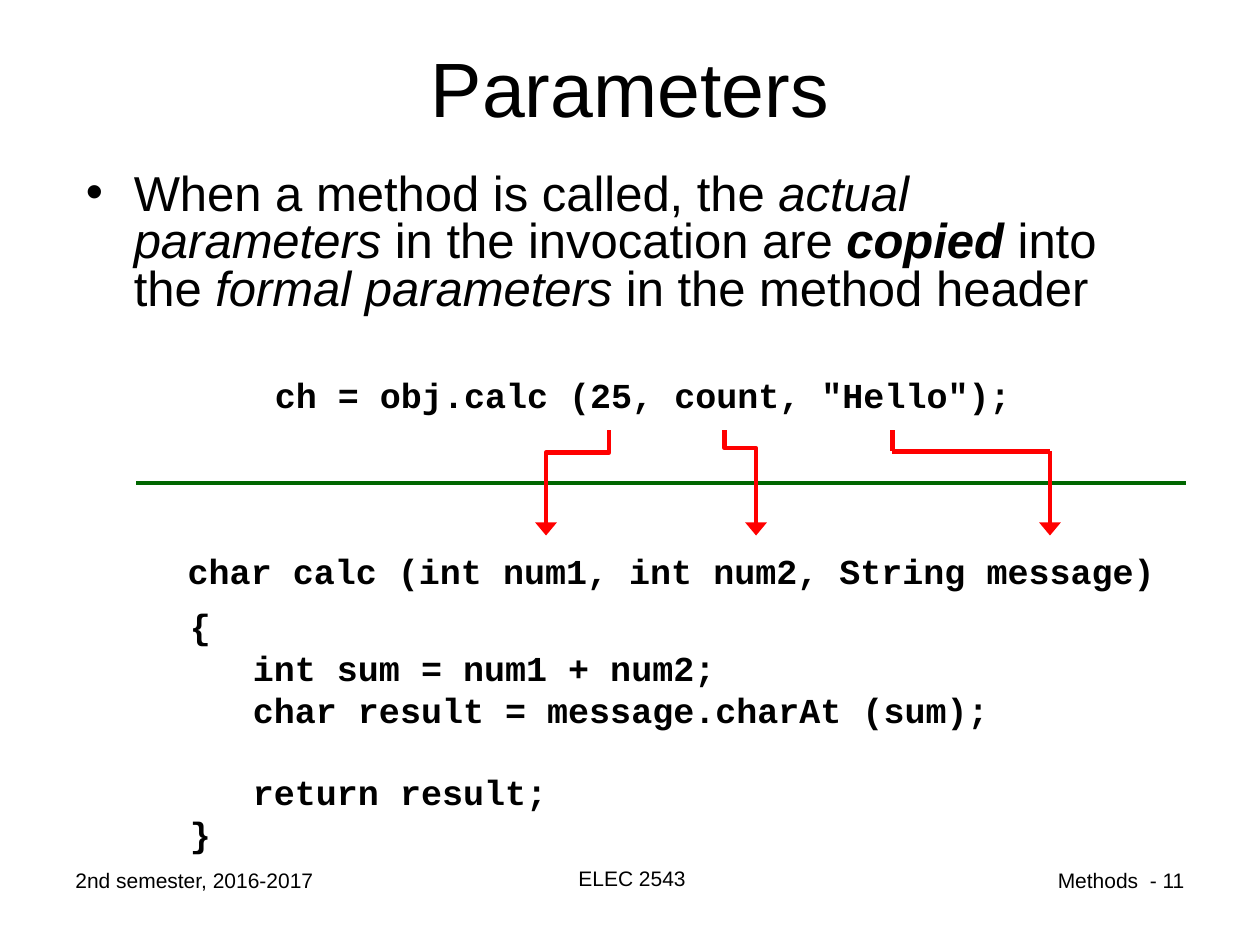
from lxml import etree
from pptx import Presentation, util as u
from pptx.dml.color import RGBColor
from pptx.enum import shapes, text
from pptx.oxml.ns import qn

COLORS = {"ink": "000000", "divider": "006600", "arrow": "FF0000"}
SANS, MONO = "Arial", "Courier New"

prs = Presentation()
prs.slide_width, prs.slide_height = u.Inches(10), u.Inches(7.5)
slide = prs.slides.add_slide(prs.slide_layouts[6])
CELL = prs.slide_width // 120  # grid of 120 columns by 90 rows


def add_text(col, row, cols, rows, lines, size, font=SANS, bold=None,
             align=text.PP_ALIGN.LEFT, wrap=True):
    """Place a text box on the grid; each line is a list of (text, bold, italic)."""
    box = slide.shapes.add_textbox(*(round(n * CELL) for n in (col, row, cols, rows)))
    frame = box.text_frame
    frame.word_wrap = wrap
    if not wrap:
        frame.auto_size = text.MSO_AUTO_SIZE.SHAPE_TO_FIT_TEXT
    for i, line in enumerate(lines):
        paragraph = frame.paragraphs[0] if i == 0 else frame.add_paragraph()
        paragraph.alignment = align
        paragraph.font.size = u.Pt(size)
        paragraph.font.name = font
        paragraph.font.bold = bold
        paragraph.font.color.rgb = RGBColor.from_string(COLORS["ink"])
        for words, strong, slanted in line:
            run = paragraph.add_run()
            run.text = words
            run.font.bold, run.font.italic = strong, slanted
    return frame


def add_line(start, end, color, arrow=False, kind=shapes.MSO_CONNECTOR.STRAIGHT):
    """Draw a connector between two (column, row) grid points."""
    line = slide.shapes.add_connector(kind, *(round(n * CELL) for n in start + end))
    line.line.width = u.Pt(2.5)
    line.line.color.rgb = RGBColor.from_string(COLORS[color])
    if arrow:
        etree.SubElement(line.line._get_or_add_ln(), qn("a:tailEnd"),
                         type="triangle", w="lg", len="med")
    etree.SubElement(line._element.spPr, qn("a:effectLst"))
    return line


# Title
title = add_text(6, 0.75, 108, 15, [[("Parameters", None, None)]], 44,
                 align=text.PP_ALIGN.CENTER)
title.vertical_anchor = text.MSO_ANCHOR.MIDDLE

# Bulleted explanation
explanation = add_text(7, 16, 104, 16, [[
    ("When a method is called, the ", None, None),
    ("actual parameters", None, True),
    (" in the invocation are ", None, None),
    ("copied", True, True),
    (" into the ", None, None),
    ("formal parameters", None, True),
    (" in the method header", None, None),
]], 28).paragraphs[0]
explanation.line_spacing = 0.8
bullet_props = explanation._p.get_or_add_pPr()
bullet_props.set("marL", str(u.Inches(0.38)))
bullet_props.set("indent", str(-u.Inches(0.38)))
run_defaults = bullet_props.find(qn("a:defRPr"))
for tag, attributes in [("a:buFont", {"typeface": SANS}), ("a:buChar", {"char": "•"})]:
    run_defaults.addprevious(etree.Element(qn(tag), attributes))

# Code: method header, body, then the call; boxes are a little wider than the text
code_blocks = [
    (16.7, 51.7, 95, 5.3, ["char calc (int num1, int num2, String message)"]),
    (16.9, 57, 79, 25.2, ["{",
                          "   int sum = num1 + num2;",
                          "   char result = message.charAt (sum);",
                          "   return result;",
                          "}"]),
    (25, 35, 73, 5.3, ['ch = obj.calc (25, count, "Hello");']),
]
for *area, code in code_blocks:
    frame = add_text(*area, [[(line, None, None)] for line in code], 20, MONO,
                     bold=True, wrap=False)
    for paragraph in frame.paragraphs:
        if "return" in paragraph.text:
            paragraph.space_before = u.Pt(22.7)  # one open line of code

# Divider between call and method
add_line((13, 46), (113, 46), "divider")

# Elbow arrows from the first two arguments to their parameters
TOP, BEND, TIP = 41, 43, 51
for source, target, bend_share in [(58, 52, 0.21), (69, 72, 0.17)]:
    elbow = add_line((source, TOP), (target, TIP), "arrow", True,
                     shapes.MSO_CONNECTOR.ELBOW)
    # Turn the elbow so that it leaves downwards
    drop, shift = (TIP - TOP) * CELL, abs(target - source) * CELL
    elbow.left = (source + target) * CELL // 2 - drop // 2
    elbow.top = (TOP + TIP) * CELL // 2 - shift // 2
    elbow.width, elbow.height = drop, shift
    xfrm = elbow._element.spPr.find(qn("a:xfrm"))
    xfrm.attrib.pop("flipH", None)
    xfrm.set("rot", str((90 if target < source else 270) * 60000))
    if target > source:
        xfrm.set("flipH", "1")
    adjustments = elbow._element.spPr.find(qn("a:prstGeom")).get_or_add_avLst()
    etree.SubElement(adjustments, qn("a:gd"), name="adj1",
                     fmla=f"val {round(bend_share * 100000)}")

# Stepped arrow from the third argument
add_line((85, TOP), (85, BEND), "arrow")
add_line((100, BEND), (85, BEND), "arrow")
add_line((100, BEND), (100, TIP), "arrow", True)

# Footer
for col, row, cols, words, align in [
    (6, 82, 28, "2nd semester, 2016-2017", text.PP_ALIGN.LEFT),
    (41.2, 81.8, 38, "ELEC 2543", text.PP_ALIGN.CENTER),
    (86, 82, 28, "Methods  - 11", text.PP_ALIGN.RIGHT),
]:
    add_text(col, row, cols, 6.2, [[(words, None, None)]], 12, align=align)

prs.save("out.pptx")
